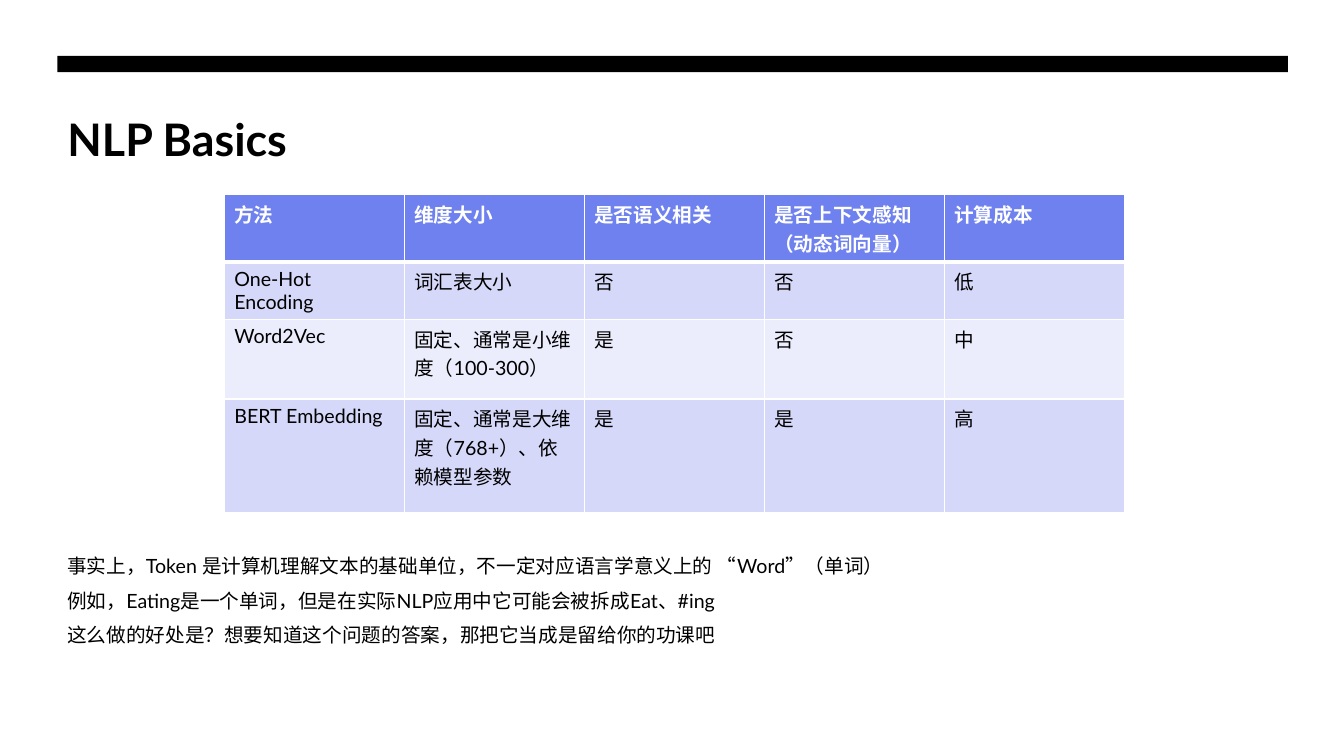
"""Build the NLP Basics slide with a method table and three notes."""
import pptx
import pptx.util
import pptx.dml.color
import pptx.enum.shapes
import pptx.enum.text
import pptx.oxml
from pptx.oxml.ns import nsdecls

Pt = pptx.util.Pt

TITLE = "NLP Basics"
ROWS = [
    ("方法", "维度大小", "是否语义相关", "是否上下文感知（动态词向量）", "计算成本"),
    ("One-Hot Encoding", "词汇表大小", "否", "否", "低"),
    ("Word2Vec", "固定、通常是小维度（100-300）", "是", "否", "中"),
    ("BERT Embedding", "固定、通常是大维度（768+）、依赖模型参数", "是", "是", "高"),
]
NOTES = [
    "事实上，Token 是计算机理解文本的基础单位，不一定对应语言学意义上的 “Word”（单词）",
    "例如，Eating是一个单词，但是在实际NLP应用中它可能会被拆成Eat、#ing",
    "这么做的好处是？想要知道这个问题的答案，那把它当成是留给你的功课吧",
]
THEME = {
    "font": "Lato", "title": 32, "body": 14,
    "ink": "000000", "paper": "FFFFFF", "head": "6E81EE",
    "bands": ("EBEDFC", "D5D8F8"),
}
LEFT, WIDTH = 41, 879
COL = 128.6
HIGH = (41, 41, 57, 81)


def color(code):
    """Return an RGB colour from its hex code."""
    return pptx.dml.color.RGBColor.from_string(code)


def paint(shape, code):
    """Fill a shape or cell with one colour."""
    shape.fill.solid()
    shape.fill.fore_color.rgb = color(code)


def style(para, size, ink, bold=False):
    """Set the font of a paragraph."""
    font = para.font
    font.name, font.size, font.bold = THEME["font"], Pt(size), bold
    font.color.rgb = color(ink)


def edge(cell, side, width):
    """Draw one border of a cell."""
    line = pptx.oxml.parse_xml(
        f'<a:{side} {nsdecls("a")} w="{Pt(width)}"><a:solidFill>'
        f'<a:srgbClr val="{THEME["paper"]}"/></a:solidFill></a:{side}>')
    props = cell._tc.get_or_add_tcPr()
    props.insert(len(props) - 1, line)


def add_title(slide):
    """Place the black bar and the title."""
    bar = slide.shapes.add_shape(
        pptx.enum.shapes.MSO_SHAPE.RECTANGLE, Pt(LEFT), Pt(40), Pt(WIDTH), Pt(11.6))
    bar.shadow.inherit = False
    paint(bar, THEME["ink"])
    bar.line.fill.background()
    title = slide.shapes.title
    title.left, title.top, title.width, title.height = Pt(LEFT), Pt(77), Pt(WIDTH), Pt(44)
    frame = title.text_frame
    frame.text = TITLE
    frame.vertical_anchor = pptx.enum.text.MSO_ANCHOR.MIDDLE
    para = frame.paragraphs[0]
    para.alignment = pptx.enum.text.PP_ALIGN.LEFT
    style(para, THEME["title"], THEME["ink"], True)


def add_grid(slide):
    """Place the table of methods."""
    count = len(ROWS[0])
    grid = slide.shapes.add_table(
        len(ROWS), count, Pt(160.2), Pt(139), Pt(COL * count), Pt(sum(HIGH))).table
    for col in grid.columns:
        col.width = Pt(COL)
    for r, row in enumerate(ROWS):
        grid.rows[r].height = Pt(HIGH[r])
        head = r == 0
        for c, text in enumerate(row):
            cell = grid.cell(r, c)
            cell.text = text
            paint(cell, THEME["head"] if head else THEME["bands"][r % 2])
            style(cell.text_frame.paragraphs[0], THEME["body"],
                  THEME["paper"] if head else THEME["ink"], head)
            for side in ("lnL", "lnR", "lnT", "lnB"):
                thick = (head and side == "lnB") or (r == 1 and side == "lnT")
                edge(cell, side, 3 if thick else 1)


def add_notes(slide):
    """Place the notes below the table."""
    box = slide.shapes.add_textbox(Pt(LEFT), Pt(392), Pt(WIDTH), Pt(90))
    frame = box.text_frame
    frame.word_wrap = True
    for i, text in enumerate(NOTES):
        para = frame.add_paragraph() if i else frame.paragraphs[0]
        para.text = text
        para.space_before = Pt(8 if i else 0)
        style(para, THEME["body"], THEME["ink"])


def main():
    """Build and save the slide."""
    deck = pptx.Presentation()
    deck.slide_width, deck.slide_height = Pt(960), Pt(540)
    slide = deck.slides.add_slide(deck.slide_layouts[5])
    add_title(slide)
    add_grid(slide)
    add_notes(slide)
    deck.save("out.pptx")


if __name__ == "__main__":
    main()
